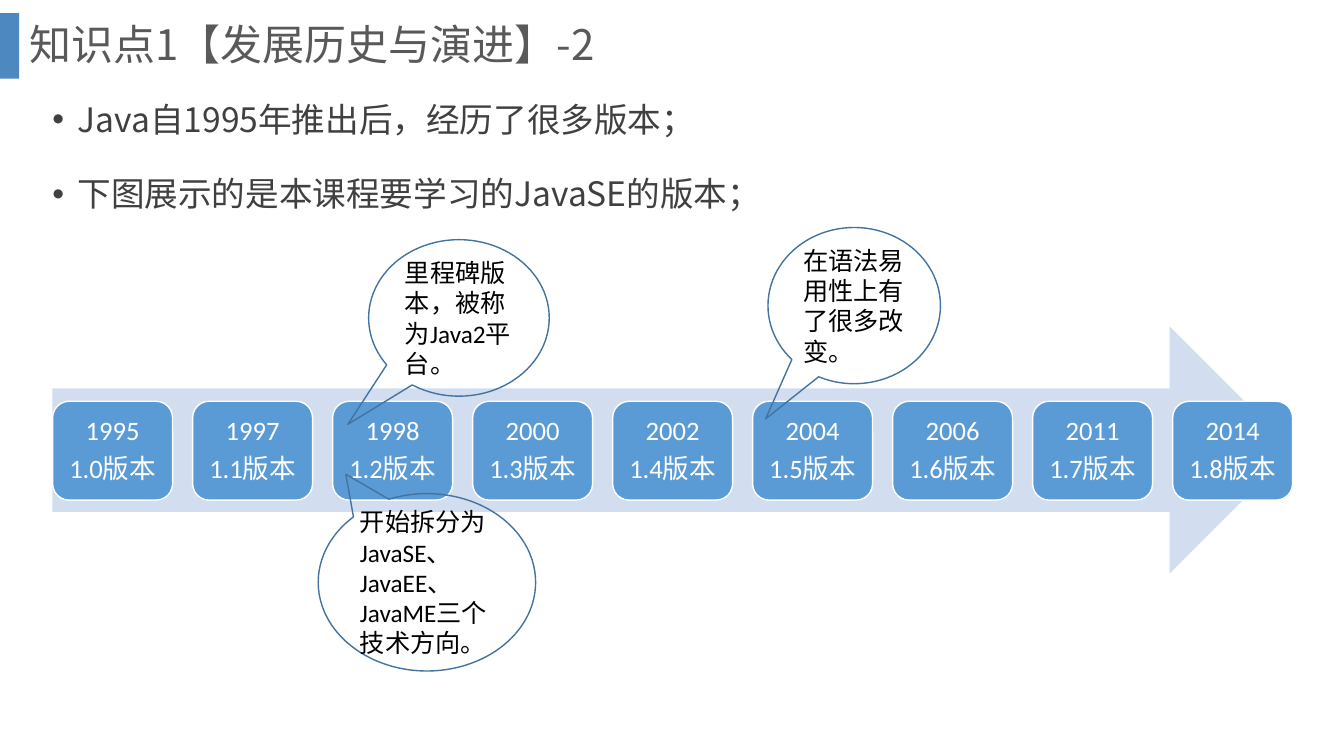
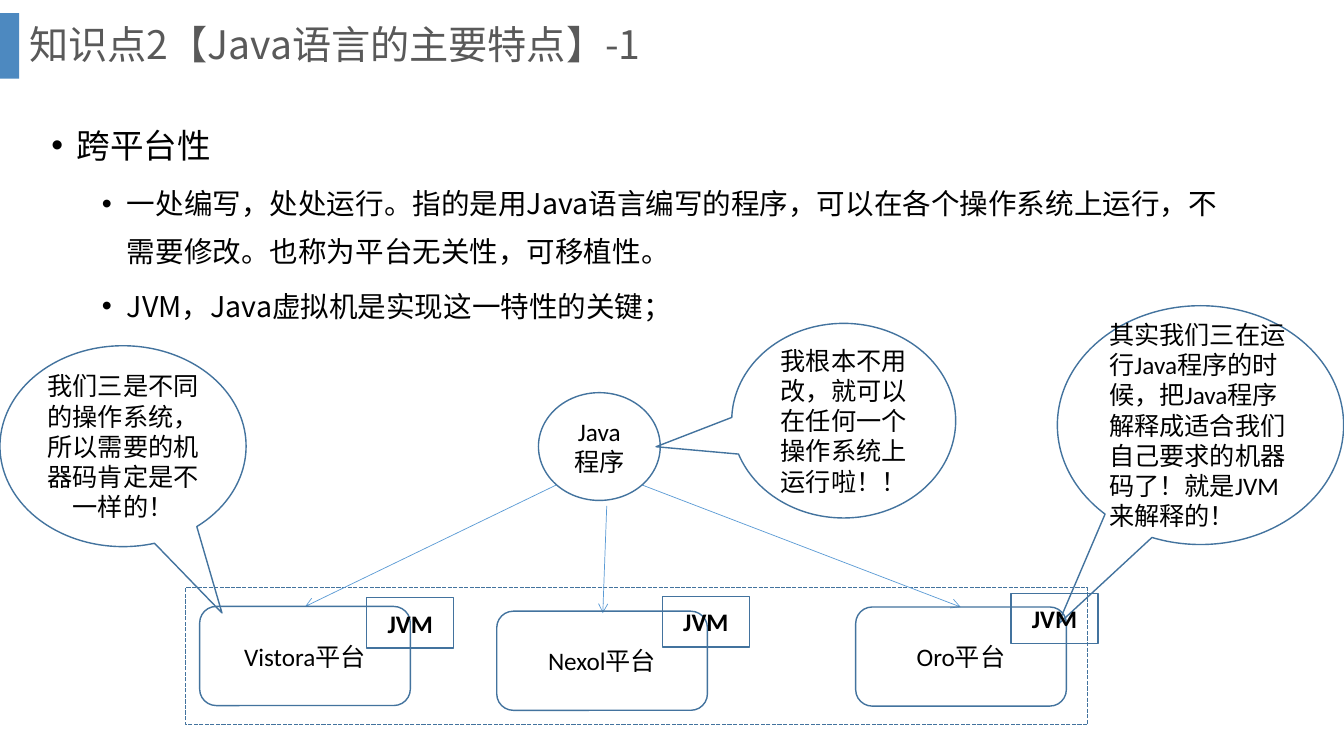
"""Build two course slides: the release history and the platform independence of Java."""
from dataclasses import dataclass

from lxml.etree import SubElement
from pptx import Presentation
from pptx.dml.color import RGBColor
from pptx.enum.dml import MSO_LINE
from pptx.enum.shapes import MSO_CONNECTOR, MSO_SHAPE
from pptx.enum.text import MSO_ANCHOR, MSO_AUTO_SIZE, PP_ALIGN
from pptx.oxml.ns import qn
from pptx.shapes.autoshape import Shape
from pptx.slide import Slide, SlideLayout
from pptx.text.text import _Paragraph as Paragraph
from pptx.util import Pt


@dataclass(frozen=True)
class Theme:
    """Colours, fonts and type sizes of the course."""
    band: RGBColor = RGBColor(0x2E, 0x75, 0xB6)
    title: RGBColor = RGBColor(0x59, 0x59, 0x59)
    body: RGBColor = RGBColor(0x40, 0x40, 0x40)
    ink: RGBColor = RGBColor(0, 0, 0)
    white: RGBColor = RGBColor(0xFF, 0xFF, 0xFF)
    accent: RGBColor = RGBColor(0x5B, 0x9B, 0xD5)
    pale: RGBColor = RGBColor(0xD2, 0xDE, 0xEF)
    outline: RGBColor = RGBColor(0x43, 0x73, 0x9E)
    heading_font: str = "Noto Sans CJK SC"
    label_font: str = "Calibri"
    label_size: float = 18
    release_size: float = 19
    point_size: float = 24
    detail_size: float = 20.4


THEME = Theme()


@dataclass(frozen=True)
class Area:
    """A rectangle in points."""
    left: float
    top: float
    width: float
    height: float


@dataclass(frozen=True)
class Figure:
    """An outlined shape with its text; callouts also have a tip."""
    kind: MSO_SHAPE
    area: Area
    text: str = ""
    align: PP_ALIGN = PP_ALIGN.CENTER
    bold: bool = False
    tip: tuple[float, ...] = ()


@dataclass(frozen=True)
class Release:
    """One version on the timeline."""
    year: str
    version: str


@dataclass(frozen=True)
class Point:
    """One bulleted line of the body."""
    text: str
    level: int = 0


@dataclass(frozen=True)
class Arrow:
    """A straight arrow between two places."""
    start: tuple[float, float]
    end: tuple[float, float]


def place(target: Shape, area: Area) -> None:
    """Move a shape onto an area."""
    target.left, target.top = Pt(area.left), Pt(area.top)
    target.width, target.height = Pt(area.width), Pt(area.height)


def write(paragraph: Paragraph, text: str, size: float, colour: RGBColor,
          font: str, bold: bool = False) -> None:
    """Add one formatted run to a paragraph."""
    run = paragraph.add_run()
    run.text = text
    run.font.size = Pt(size)
    run.font.bold = bold
    run.font.name = font
    run.font.color.rgb = colour
    SubElement(run.font._element, qn("a:ea"), typeface=THEME.heading_font)


def add_figure(slide: Slide, kind: MSO_SHAPE, area: Area,
               fill: RGBColor | None = None, line: RGBColor | None = None) -> Shape:
    """Add a preset shape without shadow."""
    figure = slide.shapes.add_shape(kind, Pt(area.left), Pt(area.top),
                                    Pt(area.width), Pt(area.height))
    figure.shadow.inherit = False
    if fill is None:
        figure.fill.background()
    else:
        figure.fill.solid()
        figure.fill.fore_color.rgb = fill
    if line is None:
        figure.line.fill.background()
    else:
        figure.line.color.rgb = line
        figure.line.width = Pt(1)
    figure.text_frame.word_wrap = True
    figure.text_frame.vertical_anchor = MSO_ANCHOR.MIDDLE
    return figure


def draw_figure(slide: Slide, item: Figure) -> Shape:
    """Draw an outlined figure with its label."""
    figure = add_figure(slide, item.kind, item.area, line=THEME.outline)
    for index, offset in enumerate(item.tip):
        figure.adjustments[index] = offset
    if item.text:
        paragraph = figure.text_frame.paragraphs[0]
        paragraph.alignment = item.align
        write(paragraph, item.text, THEME.label_size, THEME.ink,
              THEME.label_font, item.bold)
    return figure


def draw_release(slide: Slide, release: Release, area: Area) -> None:
    """Draw one version box of the timeline."""
    box = add_figure(slide, MSO_SHAPE.ROUNDED_RECTANGLE, area, THEME.accent, THEME.white)
    frame = box.text_frame
    frame.margin_left = frame.margin_right = Pt(3)
    for index, text in enumerate((release.year, release.version)):
        paragraph = frame.add_paragraph() if index else frame.paragraphs[0]
        paragraph.alignment = PP_ALIGN.CENTER
        paragraph.line_spacing = 0.9
        paragraph.space_after = Pt(6.6)
        write(paragraph, text, THEME.release_size, THEME.white, THEME.label_font)


def draw_arrow(slide: Slide, arrow: Arrow) -> None:
    """Draw a thin line with an open arrowhead at its end."""
    ends = [Pt(value) for value in (*arrow.start, *arrow.end)]
    link = slide.shapes.add_connector(MSO_CONNECTOR.STRAIGHT, *ends)
    link.line.color.rgb = THEME.accent
    link.line.width = Pt(0.5)
    properties = link.element.spPr
    SubElement(properties.find(qn("a:ln")), qn("a:tailEnd"), type="arrow")
    SubElement(properties, qn("a:effectLst"))


def fill_title(slide: Slide, text: str, size: float) -> None:
    """Write the slide title."""
    paragraph = slide.shapes.title.text_frame.paragraphs[0]
    paragraph.alignment = PP_ALIGN.LEFT
    paragraph.line_spacing = 0.9
    write(paragraph, text, size, THEME.title, THEME.heading_font)


def fill_body(slide: Slide, area: Area, points: list[Point],
              colour: RGBColor, spacing: float) -> None:
    """Write the bulleted list."""
    body = slide.placeholders[1]
    place(body, area)
    frame = body.text_frame
    frame.auto_size = MSO_AUTO_SIZE.NONE
    for index, point in enumerate(points):
        paragraph = frame.add_paragraph() if index else frame.paragraphs[0]
        paragraph.level = point.level
        paragraph.line_spacing = spacing
        paragraph.space_before = Pt(5 if point.level else 10)
        properties = paragraph._p.get_or_add_pPr()
        properties.set("marL", str(Pt(18 + 36 * point.level)))
        properties.set("indent", str(Pt(-18)))
        SubElement(properties, qn("a:buFont"), typeface="Arial")
        SubElement(properties, qn("a:buChar"), char="•")
        size = THEME.detail_size if point.level else THEME.point_size
        write(paragraph, point.text, size, colour, THEME.heading_font)


def prepare_layout(layout: SlideLayout) -> None:
    """Set the shared title place and drop the unused footers."""
    for holder in list(layout.placeholders):
        if holder.placeholder_format.idx >= 10:
            holder.element.getparent().remove(holder.element)
    title = layout.placeholders[0]
    place(title, Area(13.7, 0, 911.5, 67))
    title.text_frame.vertical_anchor = MSO_ANCHOR.MIDDLE
    title.text_frame.auto_size = MSO_AUTO_SIZE.NONE


def add_band(slide: Slide) -> None:
    """Put the title band on the layout that the slides share."""
    band = add_figure(slide, MSO_SHAPE.RECTANGLE, Area(0, 9.4, 13.7, 46.8), THEME.band)
    colour = band.element.spPr.find(qn("a:solidFill")).find(qn("a:srgbClr"))
    SubElement(colour, qn("a:alpha"), val="85000")
    slide.slide_layout.element.cSld.spTree.append(band.element)


CALLOUT = MSO_SHAPE.OVAL_CALLOUT
LEFT = PP_ALIGN.LEFT

HISTORY_POINTS = [
    Point("Java自1995年推出后，经历了很多版本；"),
    Point("下图展示的是本课程要学习的JavaSE的版本；"),
]
YEARS = (1995, 1997, 1998, 2000, 2002, 2004, 2006, 2011, 2014)
RELEASES = [Release(str(year), f"1.{minor}版本") for minor, year in enumerate(YEARS)]
HISTORY_REMARKS = [
    Figure(CALLOUT, Area(263.3, 171.2, 129, 111.8), "里程碑版本，被称为Java2平台。",
           LEFT, tip=(-0.615, 0.68)),
    Figure(CALLOUT, Area(227.3, 352.6, 155.3, 126.7),
           "开始拆分为JavaSE、JavaEE、JavaME三个技术方向。", LEFT, tip=(-0.373, -0.609)),
    Figure(CALLOUT, Area(548.6, 162.5, 123.2, 111.6), "在语法易用性上有了很多改变。",
           LEFT, tip=(-0.514, 0.725)),
]

FEATURE_POINTS = [
    Point("跨平台性"),
    Point("一处编写，处处运行。指的是用Java语言编写的程序，可以在各个操作系统上运行，"
          "不需要修改。也称为平台无关性，可移植性。", 1),
    Point("JVM，Java虚拟机是实现这一特性的关键；", 1),
]
PLATFORMS = [
    Figure(MSO_SHAPE.ROUNDED_RECTANGLE, Area(left, top, 150.5, 70.8), name + "平台")
    for name, left, top in (("Vistora", 142.6, 433.2), ("Nexol", 354.8, 436.6),
                            ("Oro", 611.2, 433.6))
]
MACHINES = [
    Figure(MSO_SHAPE.RECTANGLE, Area(left, top, 62, 36), "JVM", bold=True)
    for left, top in ((262, 427), (473.2, 426.2), (722.2, 423.9))
]
FEATURE_FIGURES = [
    Figure(MSO_SHAPE.OVAL, Area(384.6, 280.5, 87, 77), "Java程序"),
    *PLATFORMS,
    Figure(CALLOUT, Area(522.7, 231, 160, 139), "我根本不用改，就可以在任何一个操作系统上运行啦！！",
           tip=(-0.838, 0.134)),
    Figure(CALLOUT, Area(0, 247, 175.8, 143.5),
           "我们三是不同的操作系统，所以需要的机器码肯定是不一样的！", tip=(0.402, 0.83)),
    Figure(CALLOUT, Area(755.3, 218.4, 204.5, 170.6),
           "其实我们三在运行Java程序的时候，把Java程序解释成适合我们自己要求的机器码了！"
           "就是JVM来解释的！", LEFT, tip=(-0.498, 0.835)),
    *MACHINES,
]
ARROWS = [
    Arrow((397.4, 346.4), (218, 433.2)),
    Arrow((433.4, 361.4), (430.6, 438)),
    Arrow((458.6, 346.4), (686.2, 433.6)),
]


def build_history(slide: Slide) -> None:
    """Fill the slide with the version timeline."""
    fill_title(slide, "知识点1【发展历史与演进】-2", 30)
    fill_body(slide, Area(30.2, 52.6, 867.6, 115.2), HISTORY_POINTS, THEME.body, 1.5)
    add_figure(slide, MSO_SHAPE.RIGHT_ARROW, Area(37.4, 233.3, 886.3, 176.4), THEME.pale)
    for index, release in enumerate(RELEASES):
        draw_release(slide, release, Area(37.6 + 100 * index, 286.6, 85.7, 70.6))
    for remark in HISTORY_REMARKS:
        draw_figure(slide, remark)


def build_features(slide: Slide) -> None:
    """Fill the slide about running on every platform."""
    fill_title(slide, "知识点2【Java语言的主要特点】-1", 28)
    fill_body(slide, Area(29.5, 74.2, 864, 163.4), FEATURE_POINTS, THEME.ink, 1.4)
    frame = draw_figure(slide, Figure(MSO_SHAPE.RECTANGLE, Area(132.6, 419.8, 644.4, 97.9)))
    frame.line.dash_style = MSO_LINE.SQUARE_DOT
    for arrow in ARROWS:
        draw_arrow(slide, arrow)
    for figure in FEATURE_FIGURES:
        draw_figure(slide, figure)


def main() -> None:
    """Build and save the presentation."""
    deck = Presentation()
    deck.slide_width, deck.slide_height = Pt(960), Pt(540)
    layout = deck.slide_layouts[1]
    prepare_layout(layout)
    history, features = (deck.slides.add_slide(layout) for _ in range(2))
    add_band(history)
    build_history(history)
    build_features(features)
    deck.save("out.pptx")


if __name__ == "__main__":
    main()
